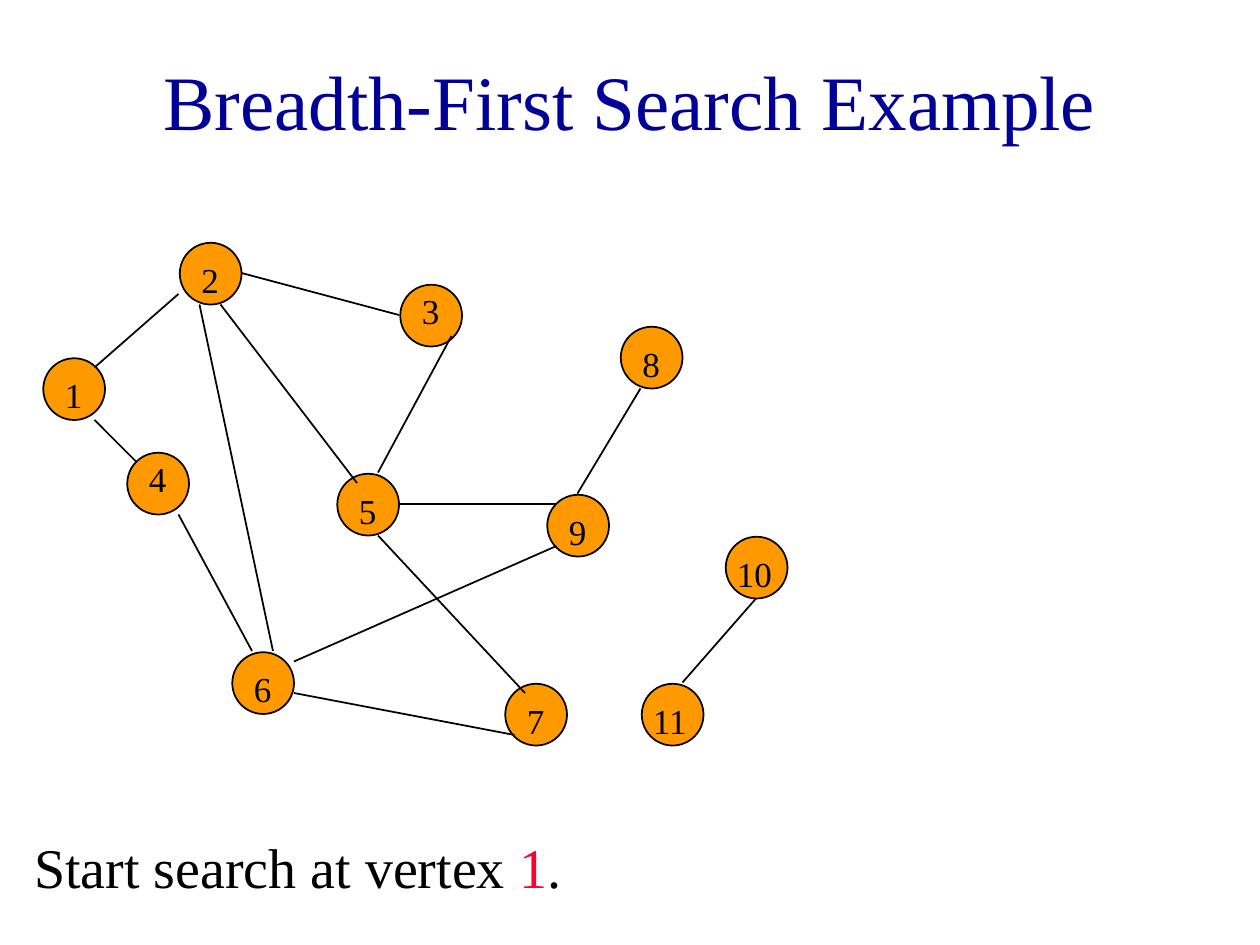
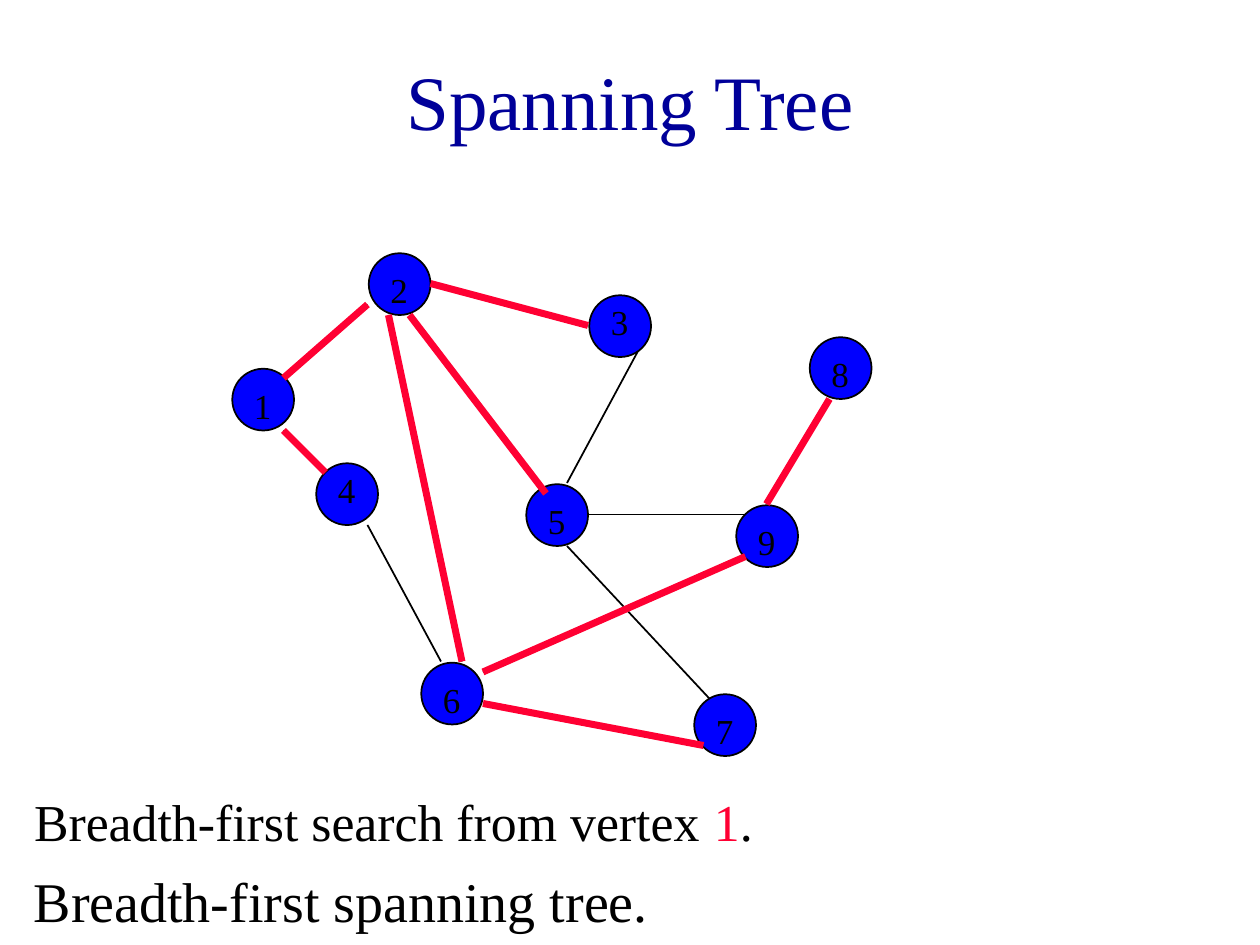
from lxml import etree
from pptx import Presentation
from pptx import util as u
from pptx.dml.color import RGBColor
from pptx.enum import shapes as kinds, text as texts
from pptx.oxml.ns import qn

FONT = "Times New Roman"
BLACK, NAVY, RED, ORANGE, BLUE = "000000", "000099", "FF0033", "FF9900", "0000FF"
UNIT = 1 / 12
DIAMETER, INSET = 0.49, 0.01
THIN, THICK = 0.99, 4

VERTICES = {
    1: (4, 34), 2: (17, 23), 3: (38, 27), 4: (12, 43), 5: (32, 45), 6: (22, 62),
    7: (48, 65), 8: (59, 31), 9: (52, 47), 10: (69, 51), 11: (61, 65),
}
LABEL_SHIFTS = {3: (1, 0), 4: (1, 0), 10: (0, 1), 11: (0, 1)}
LABEL_WIDTHS = {10: 0.5, 11: 0.83}

EDGES = {
    (1, 2): ((17, 28), (9, 35)),
    (2, 5): ((21, 29), (34, 46)),
    (1, 4): ((9, 40), (13, 44)),
    (4, 6): ((17, 49), (24, 62)),
    (6, 7): ((28, 66), (49, 70)),
    (3, 5): ((43, 32), (36, 45)),
    (5, 7): ((36, 51), (50, 66)),
    (8, 9): ((61, 37), (55, 47)),
    (10, 11): ((65, 65), (72, 57)),
    (5, 9): ((38, 48), (53, 48)),
    (2, 3): ((23, 26), (38, 30)),
    (2, 6): ((19, 29), (26, 62)),
    (6, 9): ((28, 63), (53, 52)),
}
TREE_EDGES = [(1, 2), (1, 4), (2, 3), (2, 6), (2, 5), (6, 9), (6, 7), (8, 9)]
TREE_VERTICES = [1, 2, 4, 3, 6, 5, 9, 7, 8]
TREE_SHIFT = (18, 1)


def color(value):
    return RGBColor.from_string(value)


def place(shape, left, top, width, height):
    shape.left, shape.top = u.Inches(left), u.Inches(top)
    shape.width, shape.height = u.Inches(width), u.Inches(height)


def style(para, size, fill=None):
    para.font.name, para.font.size = FONT, u.Pt(size)
    if fill:
        para.font.color.rgb = color(fill)


def grid(point, shift):
    return [(value + move) * UNIT for value, move in zip(point, shift)]


def add_slide(title, spans, body_place, size):
    page = deck.slides.add_slide(deck.slide_layouts[1])
    heading, body = page.shapes.title, page.placeholders[1]
    place(heading, 0.75, 0.17, 8.5, 1.25)
    heading.text_frame.text = title
    heading.text_frame.vertical_anchor = texts.MSO_ANCHOR.MIDDLE
    style(heading.text_frame.paragraphs[0], 44, NAVY)

    place(body, *body_place)
    body.text_frame.auto_size = texts.MSO_AUTO_SIZE.NONE
    para = body.text_frame.paragraphs[0]
    para.space_before = u.Pt(8)
    style(para, size)
    properties = para._p.get_or_add_pPr()
    properties.set("marL", str(u.Inches(0.38)))
    properties.set("indent", str(u.Inches(-0.38)))
    properties.insert_element_before(etree.Element(qn("a:buNone")), "a:tabLst", "a:defRPr")
    for words, fill in spans:
        span = para.add_run()
        span.text = words
        span.font.color.rgb = color(fill)
    return page


def add_text(parent, words, left, top, width, height, size, before):
    box = parent.add_textbox(*map(u.Inches, (left, top, width, height)))
    box.text_frame.word_wrap = True
    para = box.text_frame.paragraphs[0]
    para.text = words
    para.space_before = u.Pt(before)
    style(para, size, BLACK)


def add_circle(parent, vertex, fill, shift=(0, 0)):
    left, top = grid(VERTICES[vertex], shift)
    circle = parent.add_shape(
        kinds.MSO_SHAPE.OVAL, u.Inches(left + INSET), u.Inches(top + INSET),
        u.Inches(DIAMETER), u.Inches(DIAMETER))
    circle.shadow.inherit = False
    circle.fill.solid()
    circle.fill.fore_color.rgb = color(fill)
    circle.line.color.rgb = color(BLACK)
    circle.line.width = u.Pt(THIN)


def add_label(parent, vertex, shift=(0, 0)):
    corner = grid(VERTICES[vertex], shift)
    left, top = (edge + move * UNIT
                 for edge, move in zip(corner, LABEL_SHIFTS.get(vertex, (1, 1))))
    add_text(parent, str(vertex), left, top, LABEL_WIDTHS.get(vertex, 0.25), 0.43, 20, 12.5)


def add_edge(parent, edge, fill, width, shift=(0, 0)):
    start, end = (grid(point, shift) for point in EDGES[edge])
    line = parent.add_connector(
        kinds.MSO_CONNECTOR.STRAIGHT, *map(u.Inches, start + end))
    line.line.color.rgb = color(fill)
    line.line.width = u.Pt(width)
    etree.SubElement(line._element.spPr, qn("a:effectLst"))


deck = Presentation()
deck.slide_width, deck.slide_height = u.Inches(10), u.Inches(7.5)

page = add_slide(
    "Breadth-First Search Example",
    [("Start search at vertex ", BLACK), ("1", RED), (".", BLACK)],
    (0.17, 6.56, 8.5, 0.78), 32)
graph = page.shapes.add_group_shape().shapes
for vertex in VERTICES:
    add_circle(graph, vertex, ORANGE)
for edge in EDGES:
    add_edge(graph, edge, BLACK, THIN)
for vertex in VERTICES:
    add_label(graph, vertex)

page = add_slide(
    "Spanning Tree",
    [("Breadth-first search from vertex ", BLACK), ("1", RED), (".", BLACK)],
    (0.17, 6.22, 9.83, 0.61), 29.6)
for edge in EDGES:
    if set(edge) <= set(TREE_VERTICES):
        add_edge(page.shapes, edge, BLACK, THIN, TREE_SHIFT)
for vertex in TREE_VERTICES:
    node = page.shapes.add_group_shape().shapes
    add_circle(node, vertex, BLUE, TREE_SHIFT)
    add_label(node, vertex, TREE_SHIFT)
for edge in TREE_EDGES:
    add_edge(page.shapes, edge, RED, THICK, TREE_SHIFT)
add_text(page.shapes, "Breadth-first spanning tree.", 0.17, 6.83, 8.25, 0.63, 32, 20)

deck.save("out.pptx")
